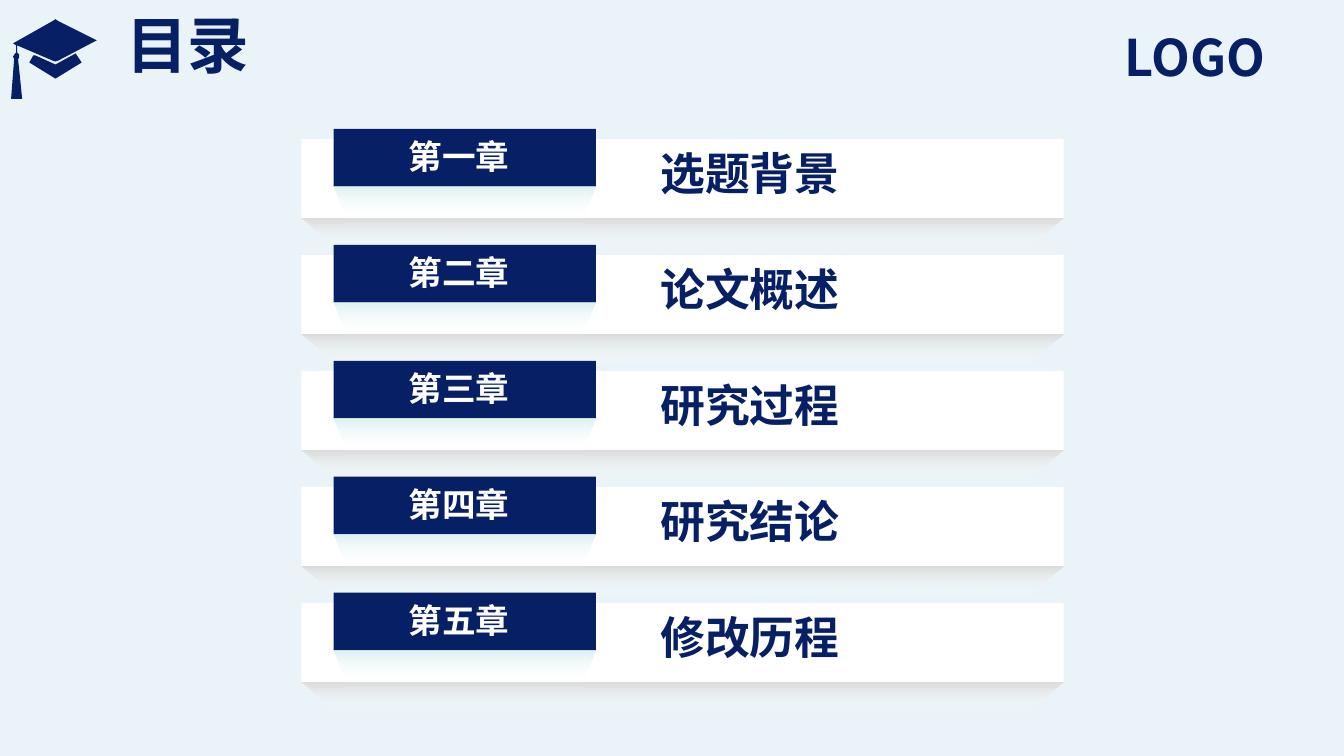
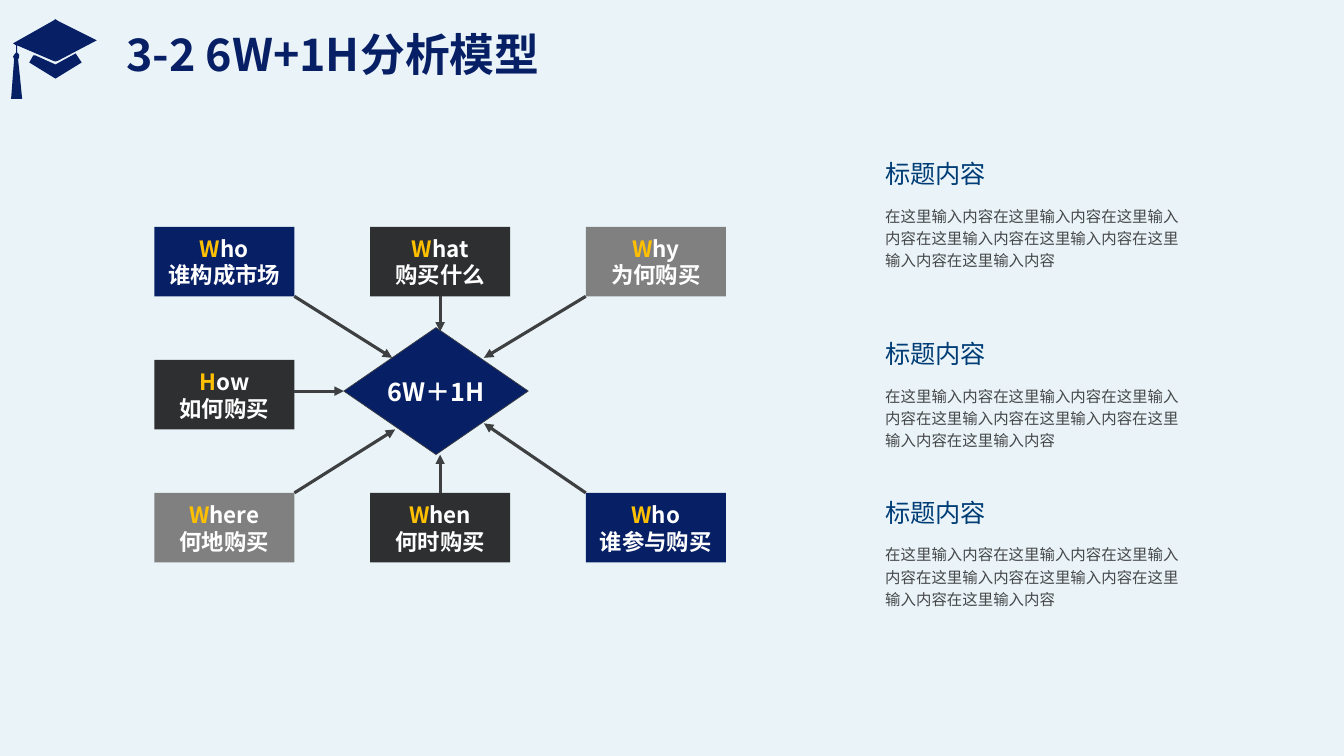
from dataclasses import dataclass

from lxml import etree
from pptx import Presentation
from pptx.dml.color import RGBColor
from pptx.enum.shapes import MSO_CONNECTOR, MSO_SHAPE
from pptx.enum.text import MSO_ANCHOR as ANCHOR, MSO_AUTO_SIZE as FIT, PP_ALIGN as ALIGN
from pptx.oxml.ns import qn
from pptx.util import Inches, Pt


@dataclass(frozen=True)
class Theme:
    font: str = "Noto Sans CJK SC"
    paper: str = "EAF4F8"
    navy: str = "071F65"
    white: str = "FFFFFF"
    charcoal: str = "2E2F31"
    grey: str = "808080"
    arrow: str = "3D3F41"
    gold: str = "FFC000"
    heading: str = "003D76"
    body: str = "454749"
    bar_shade: str = "DDDDDD"
    tab_shade: str = "BBE0E3"
    contents_title: int = 44
    logo_size: int = 36
    title_size: int = 32
    tab_size: int = 24
    heading_size: int = 18
    box_size: int = 16
    body_size: int = 11


T = Theme()

# Content
CHAPTERS = [
    ("第一章", "选题背景"),
    ("第二章", "论文概述"),
    ("第三章", "研究过程"),
    ("第四章", "研究结论"),
    ("第五章", "修改历程"),
]

# row, column, initial, rest, question, fill, arrow tip (None: straight line)
QUESTIONS = [
    (0, 0, "W", "ho", "谁构成市场", T.navy, (3.89, 3.55)),
    (0, 1, "W", "hat", "购买什么", T.charcoal, (None, 3.29)),
    (0, 2, "W", "hy", "为何购买", T.grey, (4.8, 3.55)),
    (2, 2, "W", "ho", "谁参与购买", T.navy, (4.8, 4.2)),
    (2, 1, "W", "hen", "何时购买", T.charcoal, (None, 4.51)),
    (2, 0, "W", "here", "何地购买", T.grey, (3.92, 4.26)),
    (1, 0, "H", "ow", "如何购买", T.charcoal, (3.41, None)),
]

NOTE_TEXT = "在这里输入内容" * 7
NOTES = [(1.57, "标题内容"), (3.36, "标题内容"), (4.93, "标题内容")]

# Outline of the graduation cap: board with tassel, then the band below it
CAP = [
    [(0.17, 0.45), (0.17, 0.52), (0.19, 0.54), (0.19, 0.57), (0.18, 0.59),
     (0.2, 0.78), (0.22, 0.98), (0.11, 0.98), (0.14, 0.59), (0.13, 0.56),
     (0.15, 0.53), (0.16, 0.52), (0.16, 0.45), (0.13, 0.43), (0.52, 0.21),
     (0.55, 0.19), (0.58, 0.21), (0.96, 0.4), (0.58, 0.6), (0.55, 0.61), (0.52, 0.6)],
    [(0.29, 0.62), (0.33, 0.55), (0.35, 0.55), (0.55, 0.64), (0.75, 0.53),
     (0.81, 0.62), (0.55, 0.78)],
]


def rgb(value):
    return RGBColor.from_string(value)


def write(shape, paras, size, color=T.white, bold=False, align=ALIGN.LEFT,
          anchor=ANCHOR.TOP, wrap=True, fit=FIT.NONE, inset=None, spacing=None):
    """Fill a shape with paragraphs; each is a string or a list of (text, colour)."""
    tf = shape.text_frame
    tf.word_wrap, tf.auto_size, tf.vertical_anchor = wrap, fit, anchor
    if inset is not None:
        (tf.margin_left, tf.margin_top,
         tf.margin_right, tf.margin_bottom) = map(Inches, inset)
    for i, para in enumerate([paras] if isinstance(paras, str) else paras):
        p = tf.add_paragraph() if i else tf.paragraphs[0]
        p.alignment = align
        if spacing:
            p.line_spacing = spacing
        for text, run_color in [(para, color)] if isinstance(para, str) else para:
            r = p.add_run()
            r.text = text
            f = r.font
            f.name, f.size, f.bold = T.font, Pt(size), bold
            f.color.rgb = rgb(run_color)
            etree.SubElement(r.font._element, qn("a:ea"), typeface=T.font)


def add_text(s, box, paras, size, **fmt):
    write(s.shapes.add_textbox(*map(Inches, box)), paras, size, **fmt)


def add_box(s, box, fill, kind=MSO_SHAPE.RECTANGLE):
    sp = s.shapes.add_shape(kind, *map(Inches, box))
    sp.shadow.inherit = False
    sp.fill.solid()
    sp.fill.fore_color.rgb = rgb(fill)
    sp.line.fill.background()
    return sp


def add_outline(s, points):
    points = [(Inches(x), Inches(y)) for x, y in points]
    builder = s.shapes.build_freeform(*points[0])
    builder.add_line_segments(points[1:], close=True)
    sp = builder.convert_to_shape()
    sp.shadow.inherit = False
    sp.line.fill.background()
    return sp


def add_fold(s, left, top, width, slant, color, opacity):
    """Trapezoid under a bar that fades downwards to nothing."""
    right, bottom = left + width, top + 0.31
    sp = add_outline(s, [(left, top), (left + slant, bottom),
                         (right - slant, bottom), (right, top)])
    sp.fill.gradient()
    sp.fill.gradient_angle = 270
    for stop, value in zip(sp.fill.gradient_stops, (color, T.white)):
        stop.color.rgb = rgb(value)
    colors = sp.element.spPr.find(qn("a:gradFill")).iter(qn("a:srgbClr"))
    for node, percent in zip(colors, (opacity, 0)):
        etree.SubElement(node, qn("a:alpha"), val=str(percent * 1000))


def add_arrow(s, start, tip):
    line = s.shapes.add_connector(MSO_CONNECTOR.STRAIGHT, *map(Inches, start + tip))
    line.line.color.rgb = rgb(T.arrow)
    line.line.width = Pt(2.25)
    etree.SubElement(line.line._get_or_add_ln(), qn("a:tailEnd"), type="triangle")
    etree.SubElement(line._element.spPr, qn("a:effectLst"))
    return line


def new_slide(prs, title, width, size):
    """Title-only slide with the cap and the shared title style."""
    s = prs.slides.add_slide(prs.slide_layouts[5])
    for points in CAP:
        sp = add_outline(s, points)
        sp.fill.solid()
        sp.fill.fore_color.rgb = rgb(T.navy)
    sp = s.shapes.title
    sp.left, sp.top, sp.width, sp.height = map(Inches, (1.15, 0.09, width, 0.77))
    write(sp, title, size, color=T.navy, bold=True, anchor=ANCHOR.BOTTOM, spacing=0.9)
    return s


def contents_slide(prs):
    s = new_slide(prs, "目录", 1.84, T.contents_title)
    bar_left, bar_width, bar_height = 2.99, 7.56, 0.79
    tab_left, tab_width, tab_height = 3.31, 2.6, 0.57
    for i, (chapter, topic) in enumerate(CHAPTERS):
        top = 1.38 + 1.15 * i
        tab_top = top - 0.1
        add_box(s, (bar_left, top, bar_width, bar_height), T.white)
        tab = add_box(s, (tab_left, tab_top, tab_width, tab_height), T.navy)
        write(tab, chapter, T.tab_size, bold=True, align=ALIGN.CENTER,
              anchor=ANCHOR.MIDDLE, inset=(0.1, 0, 0.21, 0.03))
        add_fold(s, bar_left, top + bar_height, bar_width, 0.37, T.bar_shade, 100)
        add_fold(s, tab_left, tab_top + tab_height, tab_width, 0.13, T.tab_shade, 50)
        add_text(s, (6.45, top + 0.02, 3.78, 0.64), topic, T.title_size,
                 color=T.navy, bold=True, fit=FIT.SHAPE_TO_FIT_TEXT)
    add_text(s, (11.05, 0.21, 1.75, 0.71), "LOGO", T.logo_size,
             color=T.navy, bold=True, fit=FIT.SHAPE_TO_FIT_TEXT)


def model_slide(prs):
    s = new_slide(prs, "3-2 6W+1H分析模型", 12.09, T.title_size)
    label = dict(bold=True, align=ALIGN.CENTER, anchor=ANCHOR.MIDDLE, wrap=False)

    # Central diamond
    hub = add_box(s, (3.41, 3.25, 1.83, 1.26), T.navy, MSO_SHAPE.FLOWCHART_DECISION)
    hub.line.color.rgb = rgb(T.arrow)
    hub.line.width = Pt(0.5)
    write(hub, "6W＋1H", T.heading_size, **label)
    hub_middle = 3.88

    # Question boxes on a 3 by 3 grid, each with an arrow to the diamond
    width, height = 1.39, 0.69
    for row, col, initial, rest, question, fill, (tip_x, tip_y) in QUESTIONS:
        left, top = 1.53 + 2.14 * col, 2.25 + 1.32 * row
        box = add_box(s, (left, top, width, height), fill)
        write(box, [[(initial, T.gold), (rest, T.white)], question], T.box_size, **label)
        x = left + width * (1 - col / 2)
        y = hub_middle if row == 1 else top + height * (1 - row / 2)
        arrow = add_arrow(s, (x, y), (tip_x or x, tip_y or y))
        if col == 1:
            arrow.begin_connect(box, 2 if row == 0 else 0)
        if row == 1:
            arrow.end_connect(hub, 1)

    # Notes on the right
    note = dict(inset=(0, 0, 0, 0), fit=FIT.SHAPE_TO_FIT_TEXT)
    for top, heading in NOTES:
        add_text(s, (8.78, top + 0.44, 2.98, 0.67), NOTE_TEXT, T.body_size,
                 color=T.body, anchor=ANCHOR.MIDDLE, spacing=1.2, **note)
        add_text(s, (8.78, top, 1.01, 0.3), heading, T.heading_size,
                 color=T.heading, anchor=ANCHOR.BOTTOM, wrap=False, **note)


def main():
    prs = Presentation()
    prs.slide_width, prs.slide_height = Inches(13.33), Inches(7.5)
    background = prs.slide_master.background.fill
    background.solid()
    background.fore_color.rgb = rgb(T.paper)
    contents_slide(prs)
    model_slide(prs)
    prs.save("out.pptx")


if __name__ == "__main__":
    main()
